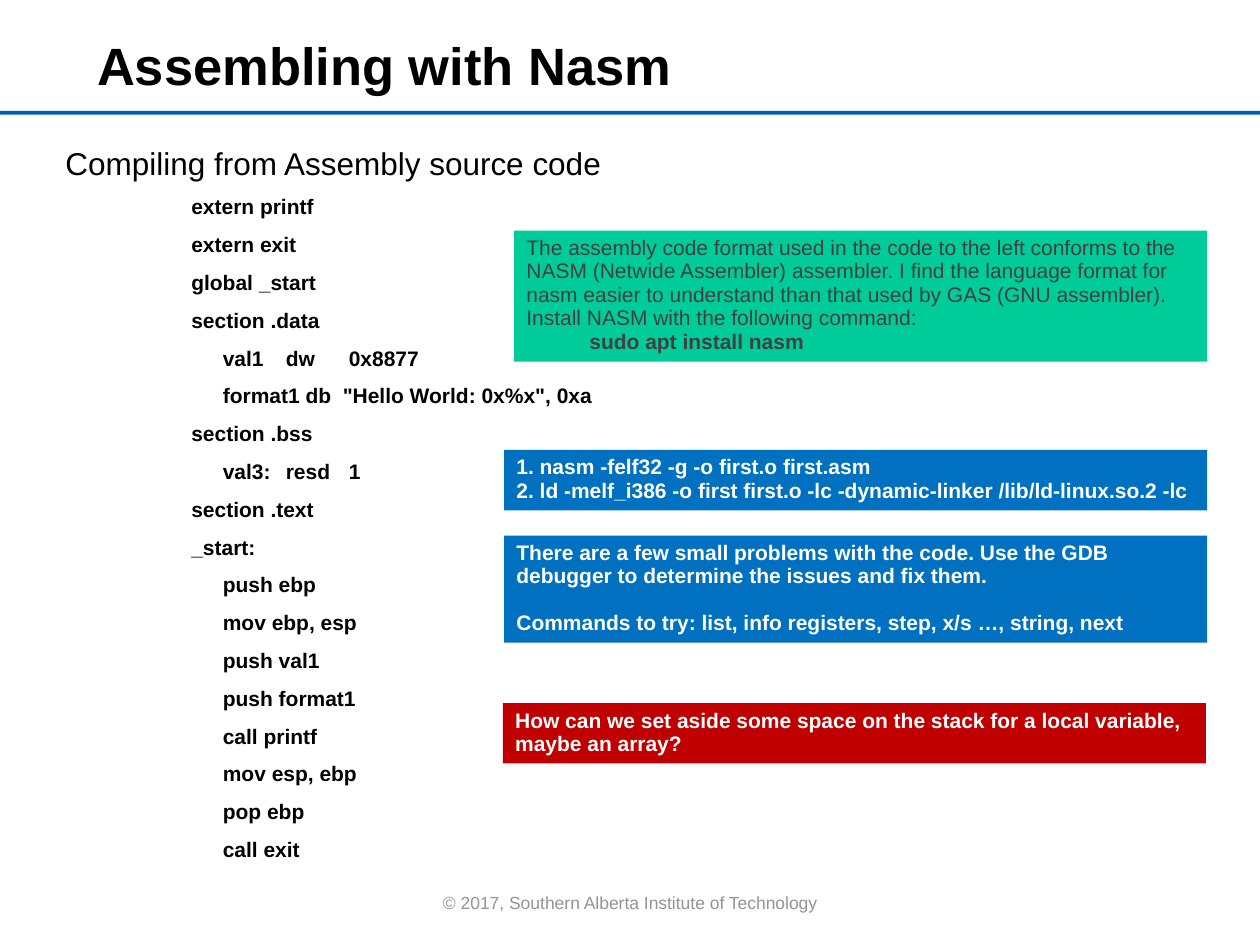
import pptx
import pptx.util
import pptx.dml.color
import pptx.enum.shapes
import pptx.enum.text

Inches = pptx.util.Inches
Pt = pptx.util.Pt
RGBColor = pptx.dml.color.RGBColor
ALIGN = pptx.enum.text.PP_ALIGN
ANCHOR = pptx.enum.text.MSO_ANCHOR

BLACK = RGBColor(0x00, 0x00, 0x00)
WHITE = RGBColor(0xFF, 0xFF, 0xFF)
DARK_GRAY = RGBColor(0x40, 0x40, 0x40)
FOOTER_GRAY = RGBColor(0x94, 0x94, 0x94)
RULE_BLUE = RGBColor(0x00, 0x5E, 0xB8)
NOTE_BLUE = RGBColor(0x00, 0x70, 0xC0)
NOTE_GREEN = RGBColor(0x00, 0xCC, 0x99)
NOTE_RED = RGBColor(0xC0, 0x00, 0x00)

CODE = [
    "extern printf",
    "extern exit",
    "global _start",
    "section .data",
    "\tval1\tdw\t0x8877",
    "\tformat1 db  \"Hello World: 0x%x\", 0xa",
    "section .bss",
    "\tval3:\tresd\t1",
    "section .text",
    "_start:",
    "\tpush ebp",
    "\tmov ebp, esp",
    "\tpush val1",
    "\tpush format1",
    "\tcall printf",
    "\tmov esp, ebp",
    "\tpop ebp",
    "\tcall exit",
]

INSTALL_NOTE = (
    "The assembly code format used in the code to the left conforms to the "
    "NASM (Netwide Assembler) assembler. I find the language format for nasm "
    "easier to understand than that used by GAS (GNU assembler). Install NASM "
    "with the following command:"
)
BUILD_STEPS = [
    "1. nasm -felf32 -g -o first.o first.asm",
    "2. ld -melf_i386 -o first first.o -lc -dynamic-linker /lib/ld-linux.so.2 -lc",
]
DEBUG_NOTE = (
    "There are a few small problems with the code. Use the GDB debugger to "
    "determine the issues and fix them."
)
DEBUG_COMMANDS = "Commands to try: list, info registers, step, x/s …, string, next"
QUESTION = (
    "How can we set aside some space on the stack for a local variable, "
    "maybe an array?"
)


def add_text(tf, text, size=12, color=BLACK, bold=False, align=ALIGN.LEFT,
             spacing=1.0, before=0, margin=0, indent=0):
    p = tf.paragraphs[0] if not tf.text else tf.add_paragraph()
    pPr = p._p.get_or_add_pPr()
    pPr.set("marL", str(Inches(margin)))
    pPr.set("indent", str(Inches(indent)))
    p.alignment = align
    p.line_spacing = spacing
    p.space_before = Pt(before)
    r = p.add_run()
    r.text = text
    r.font.name = "Arial"
    r.font.size = Pt(size)
    r.font.bold = bold
    r.font.color.rgb = color


def add_rect(s, box, fill):
    sp = s.shapes.add_shape(pptx.enum.shapes.MSO_SHAPE.RECTANGLE,
                            *map(Inches, box))
    sp.shadow.inherit = False
    sp.fill.solid()
    sp.fill.fore_color.rgb = fill
    sp.line.fill.background()
    return sp


def add_title(s, box):
    sp = s.shapes.title
    sp.left, sp.top, sp.width, sp.height = map(Inches, box)
    tf = sp.text_frame
    tf.word_wrap = True
    tf.auto_size = pptx.enum.text.MSO_AUTO_SIZE.NONE
    tf.vertical_anchor = ANCHOR.MIDDLE
    add_text(tf, "Assembling with Nasm", size=30, bold=True, spacing=0.93)


def add_code(s, box):
    tf = s.shapes.add_textbox(*map(Inches, box)).text_frame
    tf.word_wrap = True
    add_text(tf, "Compiling from Assembly source code", size=18, spacing=1.5)
    for line in CODE:
        add_text(tf, line, bold=True, spacing=1.5, margin=1.25, indent=-0.25)


def add_note(s, box, fill, paragraphs, color=WHITE):
    tf = add_rect(s, box, fill).text_frame
    tf.word_wrap = True
    tf.vertical_anchor = ANCHOR.TOP
    for text, bold, before in paragraphs:
        add_text(tf, text, color=color, bold=bold, spacing=0.93, before=before)


def add_footer(s, box):
    tf = s.shapes.add_textbox(*map(Inches, box)).text_frame
    tf.word_wrap = True
    tf.vertical_anchor = ANCHOR.MIDDLE
    add_text(tf, "© 2017, Southern Alberta Institute of Technology",
             size=10, color=FOOTER_GRAY, align=ALIGN.CENTER)


def main():
    prs = pptx.Presentation()
    prs.slide_width, prs.slide_height = Inches(10), Inches(7.5)
    s = prs.slides.add_slide(prs.slide_layouts[5])
    add_rect(s, (0, 0.88, 10, 0.03), RULE_BLUE)
    add_footer(s, (3.32, 7.03, 3.36, 0.26))
    add_title(s, (0.67, 0.17, 7.32, 0.74))
    add_code(s, (0.42, 0.94, 4.65, 6.32))
    add_note(s, (4, 3.57, 5.58, 0.48), NOTE_BLUE,
             [(step, True, 0) for step in BUILD_STEPS])
    add_note(s, (4, 4.25, 5.58, 0.85), NOTE_BLUE,
             [(DEBUG_NOTE, True, 0), (DEBUG_COMMANDS, True, 13.4)])
    add_note(s, (4.08, 1.83, 5.5, 1.04), NOTE_GREEN,
             [(INSTALL_NOTE, False, 0), ("\tsudo apt install nasm", True, 0)],
             color=DARK_GRAY)
    add_note(s, (3.99, 5.58, 5.58, 0.48), NOTE_RED, [(QUESTION, True, 0)])
    prs.save("out.pptx")


if __name__ == "__main__":
    main()
